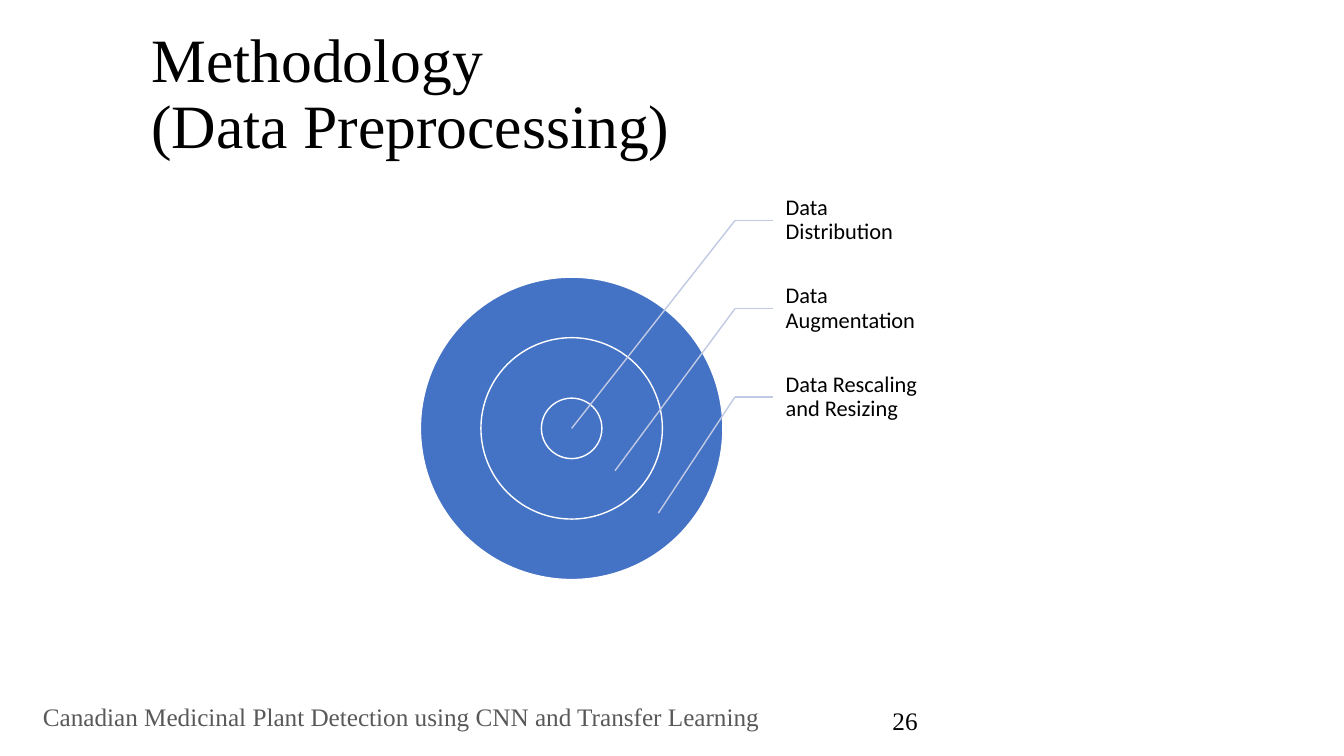
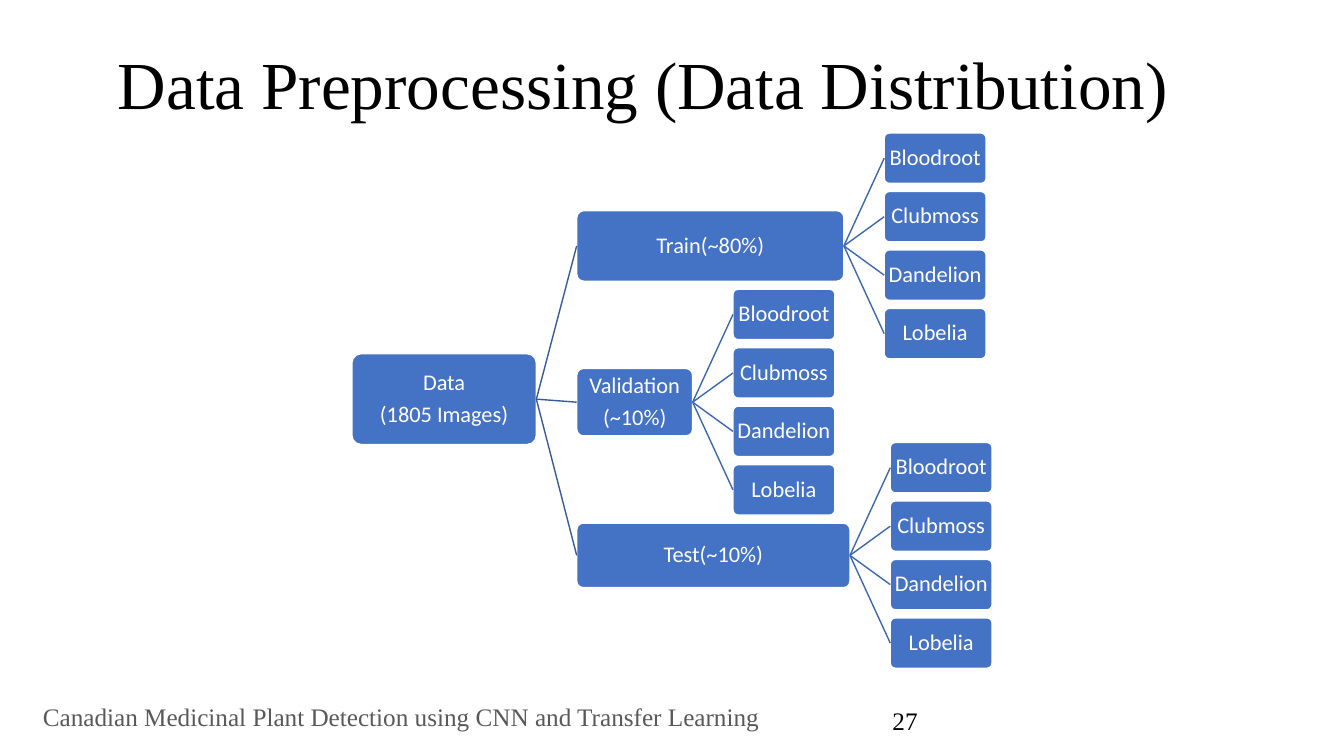
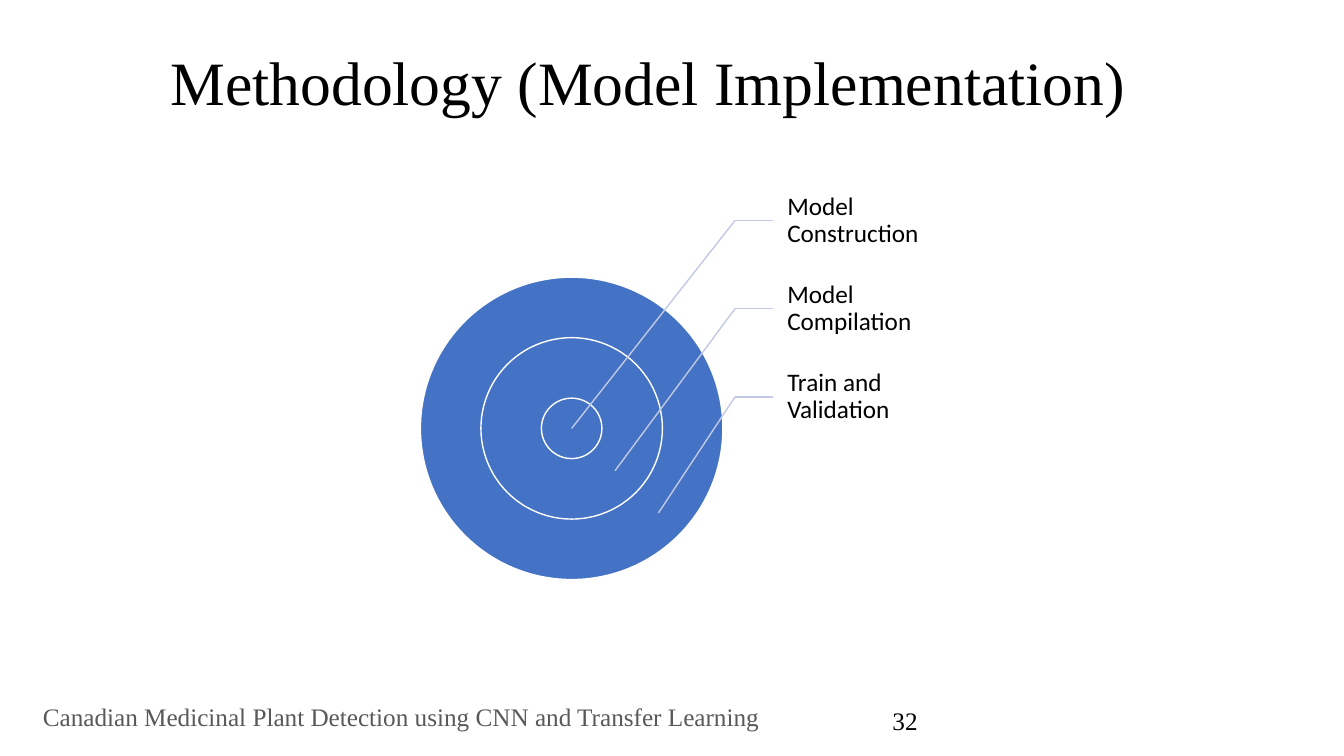
from dataclasses import dataclass

from lxml.etree import SubElement
from pptx import Presentation
from pptx.dml.color import RGBColor as Rgb
from pptx.enum.shapes import MSO_CONNECTOR as Link, MSO_SHAPE as Form
from pptx.enum.text import MSO_ANCHOR as Anchor, MSO_AUTO_SIZE as Fit, PP_ALIGN as Align
from pptx.oxml.ns import qn
from pptx.util import Inches, Pt


@dataclass(frozen=True)
class Theme:
    serif: str = "Times New Roman"
    sans: str = "Calibri"
    black: str = "000000"
    white: str = "FFFFFF"
    grey: str = "595959"
    blue: str = "4472C4"
    pale: str = "C1C9E4"
    dark: str = "365B9D"
    mid: str = "3E67B2"
    title: int = 44
    large: int = 48
    foot: int = 18
    node: int = 16
    gap: float = 5.6


THEME = Theme()
FOOTER = "Canadian Medicinal Plant Detection using CNN and Transfer Learning"
PLANTS = ["Bloodroot", "Clubmoss", "Dandelion", "Lobelia"]


def write(shape, text, size, font, color, align=Align.LEFT, anchor=Anchor.MIDDLE, lead=0.9):
    frame = shape.text_frame
    frame.text = text
    frame.word_wrap = True
    frame.auto_size = Fit.NONE
    frame.vertical_anchor = anchor
    for index, para in enumerate(frame.paragraphs):
        para.alignment = align
        para.line_spacing = lead
        para.space_before = Pt(THEME.gap if index else 0)
        para.font.size = Pt(size)
        para.font.name = font
        para.font.color.rgb = Rgb.from_string(color)


def inset(shape, left, rest):
    frame = shape.text_frame
    frame.margin_left = Inches(left)
    frame.margin_top = frame.margin_right = frame.margin_bottom = Inches(rest)


def add_text(slide, area, text, *style, **more):
    box = slide.shapes.add_textbox(*map(Inches, area))
    write(box, text, *style, **more)
    return box


def add_form(slide, form, x, y, wide, high):
    shape = slide.shapes.add_shape(form, *map(Inches, (x, y, wide, high)))
    shape.shadow.inherit = False
    shape.fill.solid()
    shape.fill.fore_color.rgb = Rgb.from_string(THEME.blue)
    shape.line.color.rgb = Rgb.from_string(THEME.white)
    shape.line.width = Pt(1)
    return shape


def add_line(slide, start, end, color):
    line = slide.shapes.add_connector(Link.STRAIGHT, *map(Inches, (*start, *end)))
    line.line.color.rgb = Rgb.from_string(color)
    line.line.width = Pt(1)
    SubElement(line._element.spPr, qn("a:effectLst"))
    return line


def add_page(deck, title, area, number, size=THEME.title):
    slide = deck.slides.add_slide(deck.slide_layouts[5])
    head = slide.shapes.title
    head.left, head.top, head.width, head.height = map(Inches, area)
    write(head, title, size, THEME.serif, THEME.black)
    add_text(slide, (0.05, 6.87, 7.86, 0.48), FOOTER, THEME.foot, THEME.serif,
             THEME.grey, align=Align.CENTER, lead=1.0)
    add_text(slide, (8.48, 6.95, 0.72, 0.4), str(number), THEME.foot, THEME.serif,
             THEME.black, align=Align.RIGHT, anchor=Anchor.TOP, lead=1.0)
    return slide


def add_target(slide, labels, size):
    x, y = 5.67, 4.25
    elbow, left, high = 7.29, 7.67, 0.875
    for wide in (3, 1.8, 0.6):
        add_form(slide, Form.OVAL, x - wide / 2, y - wide / 2, wide, wide)
    for step, text in enumerate(labels):
        top = 1.75 + step * high
        bend = (elbow, top + high / 2)
        label = add_text(slide, (left, top, 1.5, high), text, size, THEME.sans, THEME.black)
        inset(label, size / 130, 0.02)
        add_line(slide, bend, (left, bend[1]), THEME.pale).end_connect(label, 1)
        add_line(slide, bend, (x + step * 0.43, y + step * 0.42), THEME.pale)


def add_node(slide, x, y, wide, high, text):
    node = add_form(slide, Form.ROUNDED_RECTANGLE, x, y - high / 2, wide, high)
    node.adjustments[0] = 0.1
    inset(node, 0, 0)
    write(node, text, THEME.node, THEME.sans, THEME.white, align=Align.CENTER)
    return node


def join(slide, parent, child, color):
    line = add_line(slide, (0, 0), (1, 1), color)
    line.begin_connect(parent, 3)
    line.end_connect(child, 1)


def add_tree(slide):
    gap, pitch = 0.4, 0.58
    left, wide = 3.49, 1.83
    root = add_node(slide, left, 3.96, wide, 0.9, "Data\n(1805 Images)")
    left += wide + gap
    splits = [
        ("Train(~80%)", 2.44, 2.65, 0.7),
        ("Validation\n(~10%)", 3.99, 1.15, 0.67),
        ("Test(~10%)", 5.51, 2.71, 0.64),
    ]
    for text, y, wide, high in splits:
        split = add_node(slide, left, y, wide, high, text)
        join(slide, root, split, THEME.dark)
        first = y - pitch * (len(PLANTS) - 1) / 2
        for row, plant in enumerate(PLANTS):
            leaf = add_node(slide, left + wide + gap, first + row * pitch, 1.01, 0.5, plant)
            join(slide, split, leaf, THEME.mid)


def main():
    deck = Presentation()
    deck.slide_width, deck.slide_height = Inches(13.33), Inches(7.5)

    slide = add_page(deck, "Methodology\v(Data Preprocessing)", (1.4, 0.15, 10.26, 1.6), 26)
    add_target(slide, ["Data Distribution", "Data Augmentation", "Data Rescaling and Resizing"], 16)

    slide = add_page(deck, "Data Preprocessing (Data Distribution)",
                     (1.07, 0.6, 11.19, 0.55), 27, THEME.large)
    add_tree(slide)

    slide = add_page(deck, "Methodology (Model Implementation)", (1.59, 0.46, 10.08, 0.78), 32)
    add_target(slide, ["Model Construction", "Model Compilation", "Train and Validation"], 18)

    deck.save("out.pptx")


if __name__ == "__main__":
    main()
